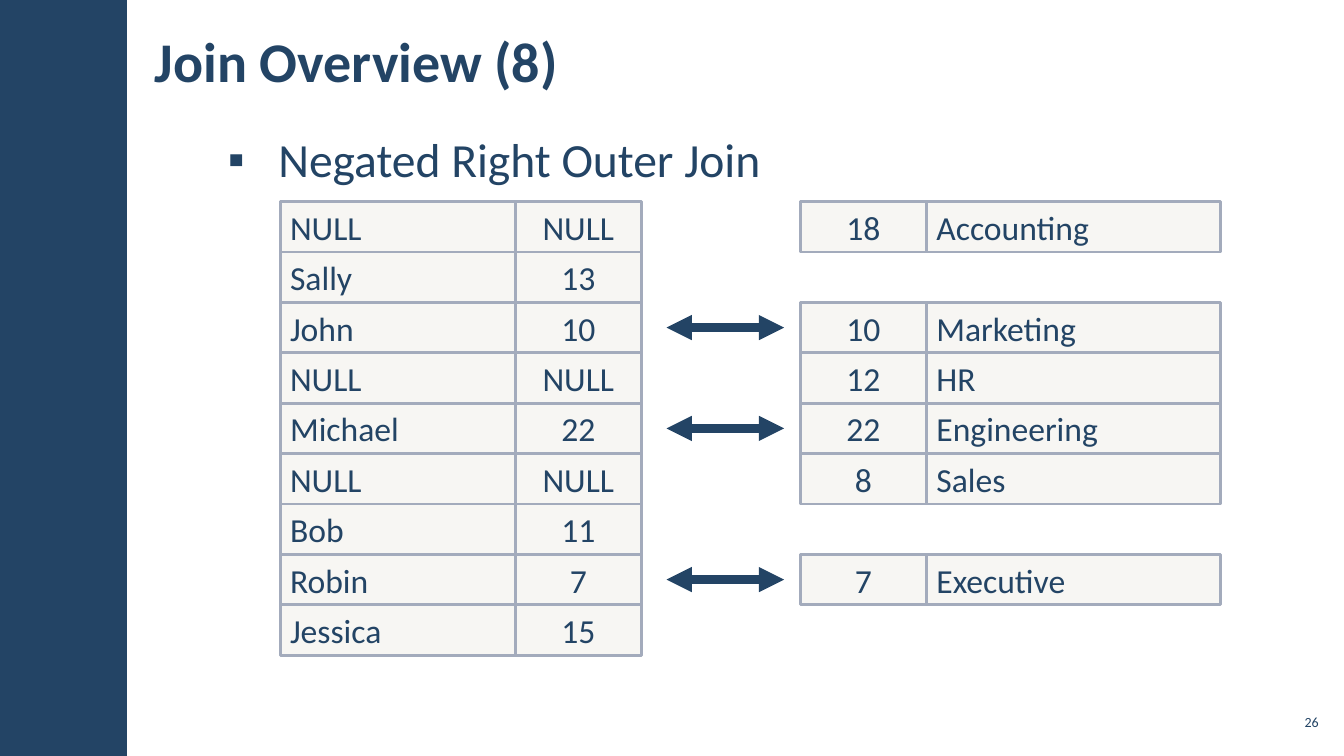
import lxml.etree
import pptx
import pptx.dml.color
import pptx.enum.shapes
import pptx.enum.text
import pptx.oxml.ns
import pptx.util

COLORS = {"navy": "234465", "cell": "D9D5C7", "border": "A3ABBC"}
FONT = "Calibri"
ALIGN = pptx.enum.text.PP_ALIGN
ANCHOR = pptx.enum.text.MSO_ANCHOR

# Slide grid: 160 columns by 15 rows
WIDTH, HEIGHT = pptx.util.Inches(13.33), pptx.util.Inches(7.5)
COLUMN, ROW = WIDTH / 160, HEIGHT / 15

EMPLOYEES = [("NULL", "NULL"), ("Sally", "13"), ("John", "10"),
             ("NULL", "NULL"), ("Michael", "22"), ("NULL", "NULL"),
             ("Bob", "11"), ("Robin", "7"), ("Jessica", "15")]
# Departments by the row on which each block starts
DEPARTMENTS = {
    0: [("18", "Accounting")],
    2: [("10", "Marketing"), ("12", "HR"), ("22", "Engineering"), ("8", "Sales")],
    7: [("7", "Executive")],
}
MATCHED_ROWS = [2, 4, 7]


def color(name):
    return pptx.dml.color.RGBColor.from_string(COLORS[name])


def place(left, top, width, height):
    """Turn grid columns and rows into slide lengths."""
    return [round(value) for value in
            (left * COLUMN, top * ROW, width * COLUMN, height * ROW)]


def add_element(parent, tag, **attributes):
    return lxml.etree.SubElement(parent, pptx.oxml.ns.qn(tag), attributes)


def set_values(target, values):
    for name, value in values.items():
        setattr(target, name, value)


def write(frame, text, size, bold=False, anchor=ANCHOR.MIDDLE, align=ALIGN.LEFT,
          side=0.12, edge=0.04):
    side, edge = pptx.util.Inches(side), pptx.util.Inches(edge)
    set_values(frame, {"word_wrap": True, "vertical_anchor": anchor,
                       "margin_left": side, "margin_right": side,
                       "margin_top": edge, "margin_bottom": edge})
    para = frame.paragraphs[0]
    para.alignment = align
    span = para.add_run()
    span.text = text
    set_values(span.font, {"name": FONT, "size": pptx.util.Pt(size), "bold": bold})
    span.font.color.rgb = color("navy")
    return para


def add_text(page, box, text, size, **layout):
    frame = page.shapes.add_textbox(*place(*box)).text_frame
    return write(frame, text, size, **layout)


def add_bullet(para):
    indent = pptx.util.Inches(0.5)
    properties = para._p.get_or_add_pPr()
    properties.set("marL", str(indent))
    properties.set("indent", str(-indent))
    add_element(properties, "a:buFont", typeface="Arial")
    add_element(properties, "a:buChar", char="▪")
    set_values(para, {"line_spacing": 1.05, "space_after": pptx.util.Pt(6)})


def add_rectangle(page, box, fill):
    shape = page.shapes.add_shape(pptx.enum.shapes.MSO_SHAPE.RECTANGLE, *place(*box))
    shape.shadow.inherit = False
    shape.fill.solid()
    shape.fill.fore_color.rgb = color(fill)
    return shape


def add_cell(page, box, text, align):
    cell = add_rectangle(page, box, "cell")
    tint = cell._element.spPr.find(".//" + pptx.oxml.ns.qn("a:srgbClr"))
    add_element(tint, "a:alpha", val="20000")
    cell.line.color.rgb = color("border")
    cell.line.width = pptx.util.Pt(2)
    write(cell.text_frame, text, 24, align=align, side=0.1, edge=0.05)


def add_rows(page, left, top, widths, records, aligns):
    """Stack records as rows of cells, each one grid row high."""
    for row, record in enumerate(records):
        for index, (text, align) in enumerate(zip(record, aligns)):
            box = (left + sum(widths[:index]), top + row, widths[index], 1)
            add_cell(page, box, text, align)


def add_arrow(page, left, middle, width):
    x, y, length, _ = place(left, middle, width, 0)
    arrow = page.shapes.add_connector(
        pptx.enum.shapes.MSO_CONNECTOR.STRAIGHT, x, y, x + length, y)
    arrow.line.width = pptx.util.Pt(6)
    arrow.line.color.rgb = color("navy")
    for end in ("a:headEnd", "a:tailEnd"):
        add_element(arrow.line._ln, end, type="triangle")
    add_element(arrow._element.spPr, "a:effectLst")


def draw_frame(page):
    # Side band, title and page number
    band = add_rectangle(page, (0, 0, 15.12, 15), "navy")
    band.line.fill.background()
    add_text(page, (17, 0.22, 110.3, 1.94), "Join Overview (8)", 40, bold=True)
    add_text(page, (151.84, 13.99, 5.64, 0.68), "26", 10, side=0.04,
             align=ALIGN.RIGHT)


def draw_topic(page):
    add_bullet(add_text(page, (25.7, 2.45, 131.8, 11.54), "Negated Right Outer Join",
                        34, anchor=ANCHOR.TOP))


def draw_join(page, left, top):
    # Employees on the left, departments on the right, arrows between matches
    add_rows(page, left, top, (28, 15), EMPLOYEES, (ALIGN.LEFT, ALIGN.CENTER))
    for start, records in DEPARTMENTS.items():
        add_rows(page, left + 61.95, top + start, (15, 35), records,
                 (ALIGN.CENTER, ALIGN.LEFT))
    for row in MATCHED_ROWS:
        add_arrow(page, left + 46, top + row + 0.5, 14)


def main():
    deck = pptx.Presentation()
    set_values(deck, {"slide_width": WIDTH, "slide_height": HEIGHT})
    page = deck.slides.add_slide(deck.slide_layouts[6])
    draw_frame(page)
    draw_topic(page)
    draw_join(page, 33.35, 4)
    deck.save("out.pptx")


if __name__ == "__main__":
    main()
